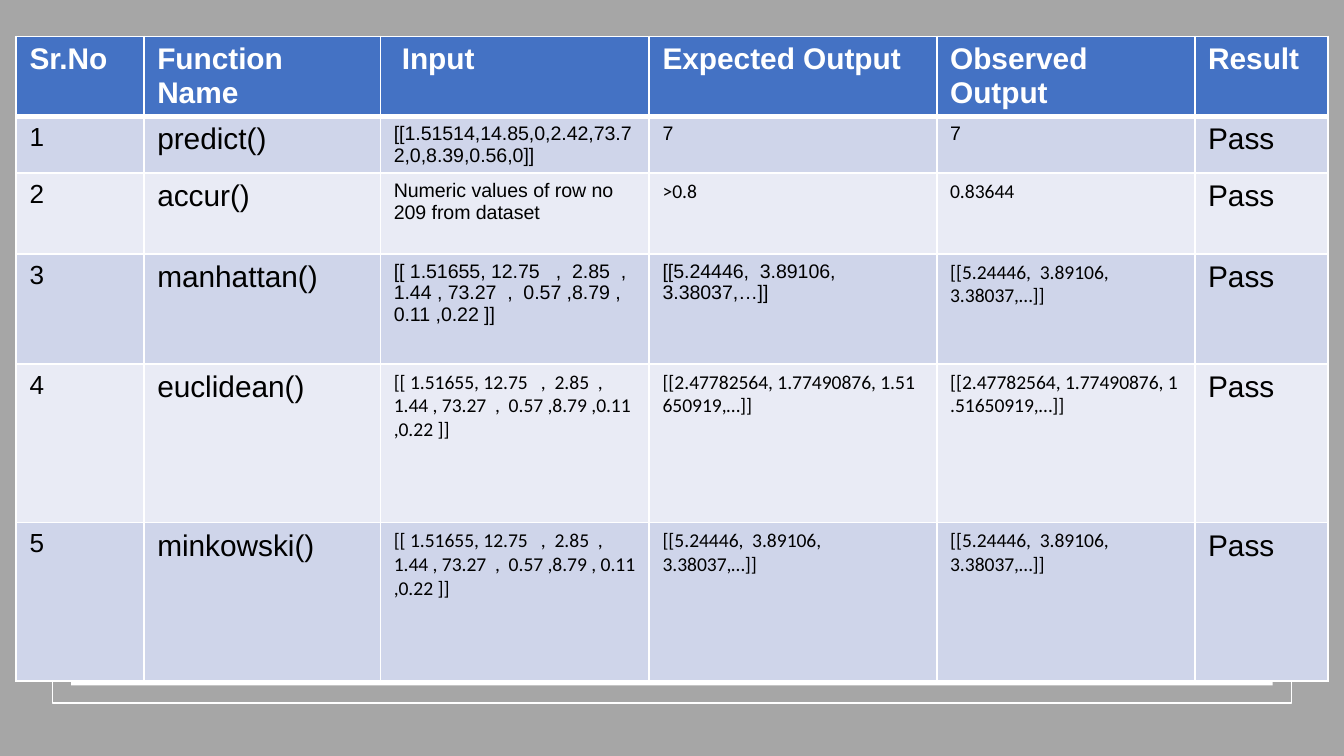
from pptx import Presentation
from pptx.dml.color import RGBColor
from pptx.enum.shapes import MSO_SHAPE
from pptx.oxml import parse_xml
from pptx.oxml.ns import nsdecls
from pptx.util import Inches, Pt


def paint(fill, color):
    fill.solid()
    fill.fore_color.rgb = RGBColor.from_string(color)


def edge(cell, side, width):
    cell._tc.get_or_add_tcPr().append(parse_xml(
        f'<a:{side} {nsdecls("a")} w="{Pt(width)}"><a:solidFill>'
        f'<a:srgbClr val="FFFFFF"/></a:solidFill></a:{side}>'))


wide = 10
tall = wide * 9 / 16

deck = Presentation()
deck.slide_width = Inches(wide)
deck.slide_height = Inches(tall)
slide = deck.slides.add_slide(deck.slide_layouts[6])

frames = [
    (0, 0, wide, tall, "A6A6A6", None),
    (0.39, 0.39, 9.22, 4.84, None, "FFFFFF"),
    (0.53, 0.53, 8.94, 4.57, "FFFFFF", None),
]
for left, top, width, height, fill, line in frames:
    box = slide.shapes.add_shape(
        MSO_SHAPE.RECTANGLE, Inches(left), Inches(top), Inches(width), Inches(height))
    box.shadow.inherit = False
    if fill:
        paint(box.fill, fill)
    else:
        box.fill.background()
    if line:
        paint(box.line.fill, line)
        box.line.width = Pt(1)
    else:
        box.line.fill.background()

heads = ["Sr.No", "Function Name", "Input", "Expected Output", "Observed Output", "Result"]
near = "[[5.24446,  3.89106,  3.38037,…]]"
far = "[[2.47782564, 1.77490876, 1.51650919,…]]".replace(" ", chr(160))
glass = "[[ 1.51655, 12.75   ,  2.85  , 1.44 , 73.27  ,  0.57 ,8.79 , 0.11 ,0.22 ]]"
tests = [
    ("predict()", "[[1.51514,14.85,0,2.42,73.72,0,8.39,0.56,0]]", "7", "7"),
    ("accur()", "Numeric values of row no 209 from dataset", ">0.8", "0.83644"),
    ("manhattan()", glass, near, near),
    ("euclidean()", glass.replace(", 0.11", ",0.11"), far, far),
    ("minkowski()", glass, near, near),
]
rows = [heads] + [(str(num), *test, "Pass") for num, test in enumerate(tests, 1)]
sizes = [14, 16, 10.5, 10.5, 10.5, 16]
widths = [0.95, 1.76, 2, 2.14, 1.92, 0.99]
heights = [0.59, 0.42, 0.6, 0.82, 1.18, 1.18]
soft = {2: (4, 5), 3: (2, 4, 5), 4: (2, 3, 4, 5)}

table = slide.shapes.add_table(
    len(rows), len(heads), Inches(0.12), Inches(0.27),
    Inches(sum(widths)), Inches(sum(heights))).table
for col, width in zip(table.columns, widths):
    col.width = Inches(width)
for row, height in zip(table.rows, heights):
    row.height = Inches(height)

for r, row in enumerate(rows):
    for c, text in enumerate(row):
        cell = table.cell(r, c)
        for side in ("lnL", "lnR", "lnT", "lnB"):
            thick = (r, side) in ((0, "lnB"), (1, "lnT"))
            edge(cell, side, 3 if thick else 1)
        paint(cell.fill, "4472C4" if r == 0 else "CFD5EA" if r % 2 else "E9EBF5")
        run = cell.text_frame.paragraphs[0].add_run()
        run.text = text
        font = run.font
        font.size = Pt(sizes[c] if r else 16)
        font.bold = r == 0
        font.name = "Calibri" if r in soft.get(c, ()) else "Arial"
        paint(font.fill, "000000" if r else "FFFFFF")
table.cell(0, 2).margin_left = Inches(0.16)

deck.save("out.pptx")
